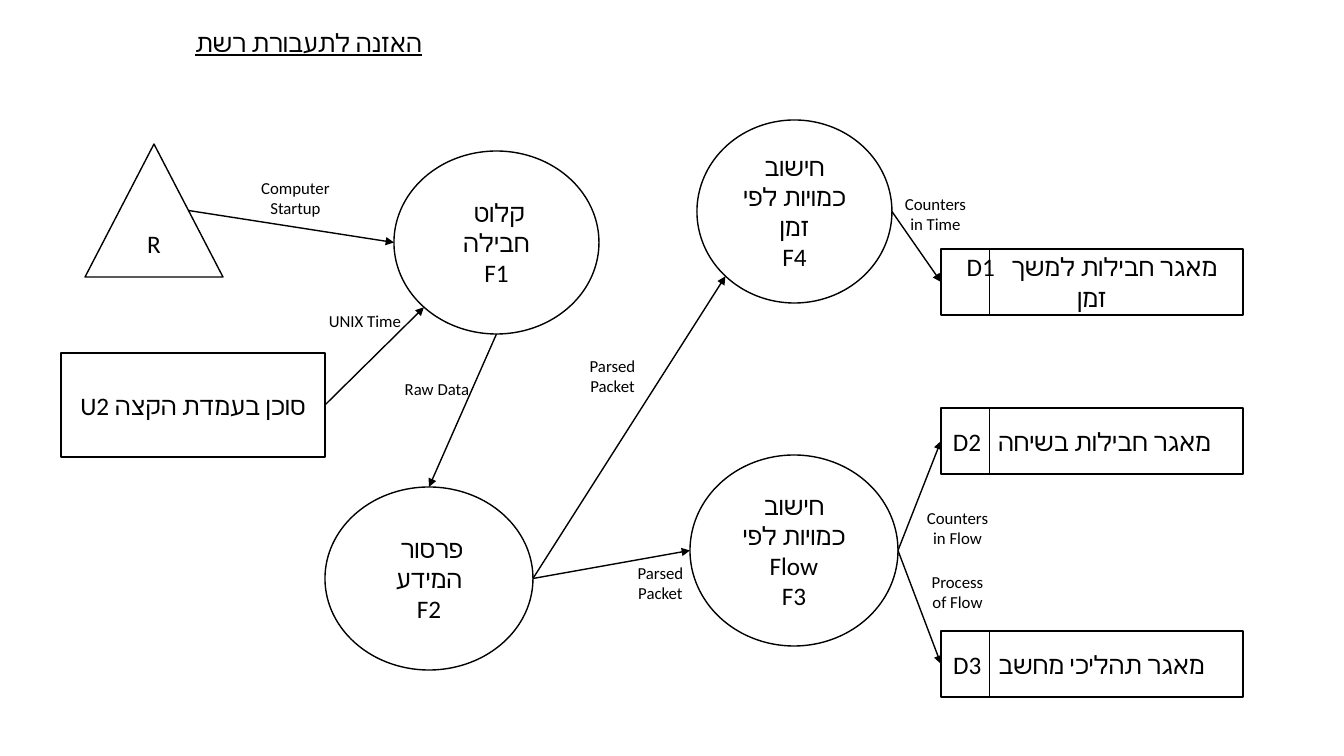
from lxml.etree import SubElement
from pptx import Presentation
from pptx.dml.color import RGBColor
from pptx.enum.shapes import MSO_CONNECTOR, MSO_SHAPE
from pptx.enum.text import MSO_ANCHOR, MSO_AUTO_SIZE, PP_ALIGN
from pptx.oxml.ns import qn
from pptx.util import Pt

BLACK = RGBColor(0, 0, 0)
WHITE = RGBColor(255, 255, 255)
FONT = "Calibri"
SCALE = 914400 / 100.8

TITLE = "האזנה לתעבורת רשת"
NODES = {
    "R": (MSO_SHAPE.ISOSCELES_TRIANGLE, (85, 144, 138, 133), ["R"]),
    "U2": (MSO_SHAPE.RECTANGLE, (61, 353, 264, 104), ["U2 סוכן בעמדת הקצה"]),
    "F1": (MSO_SHAPE.OVAL, (394, 151, 205, 183), [" קלוט חבילה", "F1"]),
    "F2": (MSO_SHAPE.OVAL, (325, 487, 208, 183), [" פרסור המידע", "F2"]),
    "F3": (MSO_SHAPE.OVAL, (690, 455, 208, 191), ["חישוב כמויות לפי", "Flow", "F3"]),
    "F4": (MSO_SHAPE.OVAL, (697, 120, 195, 183), ["חישוב כמויות לפי זמן", "F4"]),
}
STORES = [
    ("D1", "מאגר חבילות למשך זמן", 249, 0),
    ("D2", "מאגר חבילות בשיחה", 408, 20),
    ("D3", "מאגר תהליכי מחשב", 631, 26),
]
STORE_X, STORE_W, STORE_H, KEY_W = 941, 302, 66, 48
INSET, GAP = 10, 800
PORTS = {
    "top": (0.5, 0), "bottom": (0.5, 1), "left": (0, 0.5), "right": (1, 0.5),
    "corner": (0.146, 0.854), "slope": (0.75, 0.5),
}
FLOWS = [
    ("R", "slope", "F1", "left"),
    ("U2", "right", "F1", "corner"),
    ("F1", "bottom", "F2", "top"),
    ("F2", "right", "F3", "left"),
    ("F2", "right", "F4", "corner"),
    ("F4", "right", "D1", "left"),
    ("F3", "right", "D2", "left"),
    ("F3", "right", "D3", "left"),
]
LABELS = [
    ("Computer Startup", 249, 173, 93),
    ("UNIX Time", 318, 306, 94),
    ("Raw Data", 393, 374, 88),
    ("Parsed Packet", 568, 351, 89),
    ("Parsed Packet", 617, 558, 87),
    ("Counters in Time", 892, 189, 87),
    ("Counters in Flow", 916, 503, 83),
    ("Process of Flow", 916, 567, 83),
]


def emu(*sizes):
    return [round(size * SCALE) for size in sizes]


def write(para, text, size=18, align=PP_ALIGN.CENTER):
    para.alignment = align
    run = para.add_run()
    run.text = text
    font = run.font
    font.size = Pt(size)
    font.name = FONT
    font.color.rgb = BLACK
    SubElement(font._element, qn("a:cs")).set("typeface", FONT)
    return font


def draw(kind, box):
    shape = slide.shapes.add_shape(kind, *emu(*box))
    shape.shadow.inherit = False
    shape.fill.solid()
    shape.fill.fore_color.rgb = WHITE
    shape.line.color.rgb = BLACK
    shape.line.width = Pt(1)
    frame = shape.text_frame
    frame.word_wrap = True
    frame.vertical_anchor = MSO_ANCHOR.MIDDLE
    return frame


def link(start, end, width, arrow=False):
    line = slide.shapes.add_connector(MSO_CONNECTOR.STRAIGHT, *emu(*start, *end))
    line.line.color.rgb = BLACK
    line.line.width = Pt(width)
    if arrow:
        SubElement(line.line._get_or_add_ln(), qn("a:tailEnd")).set("type", "triangle")
    SubElement(line._element.spPr, qn("a:effectLst"))


def port(name, side):
    left, top, width, height = boxes[name]
    across, down = PORTS[side]
    return left + across * width, top + down * height


deck = Presentation()
deck.slide_width, deck.slide_height = emu(1344, 756)
slide = deck.slides.add_slide(deck.slide_layouts[5])

title = slide.shapes.title
title.left, title.top, title.width, title.height = emu(73, 22, 359, 40)
frame = title.text_frame
frame.word_wrap = True
frame.auto_size = MSO_AUTO_SIZE.NONE
frame.vertical_anchor = MSO_ANCHOR.TOP
write(frame.paragraphs[0], TITLE, align=PP_ALIGN.RIGHT).underline = True

boxes = {}
for name, (kind, box, lines) in NODES.items():
    boxes[name] = box
    frame = draw(kind, box)
    for num, text in enumerate(lines):
        write(frame.add_paragraph() if num else frame.paragraphs[0], text)

for key, text, top, shift in STORES:
    boxes[key] = (STORE_X, top, STORE_W, STORE_H)
    frame = draw(MSO_SHAPE.RECTANGLE, boxes[key])
    frame.margin_right = emu(INSET + shift)[0]
    para = frame.paragraphs[0]
    write(para, key)
    write(para, " ")._element.set("spc", str(GAP))
    write(para, text)
    edge = STORE_X + KEY_W
    link((edge, top), (edge, top + STORE_H), 0.5)

for source, out, target, into in FLOWS:
    link(port(source, out), port(target, into), 1, arrow=True)

for text, left, top, width in LABELS:
    height = 30 if width in (94, 88) else 50
    frame = slide.shapes.add_textbox(*emu(left, top, width, height)).text_frame
    frame.word_wrap = True
    write(frame.paragraphs[0], text, 12)

deck.save("out.pptx")
